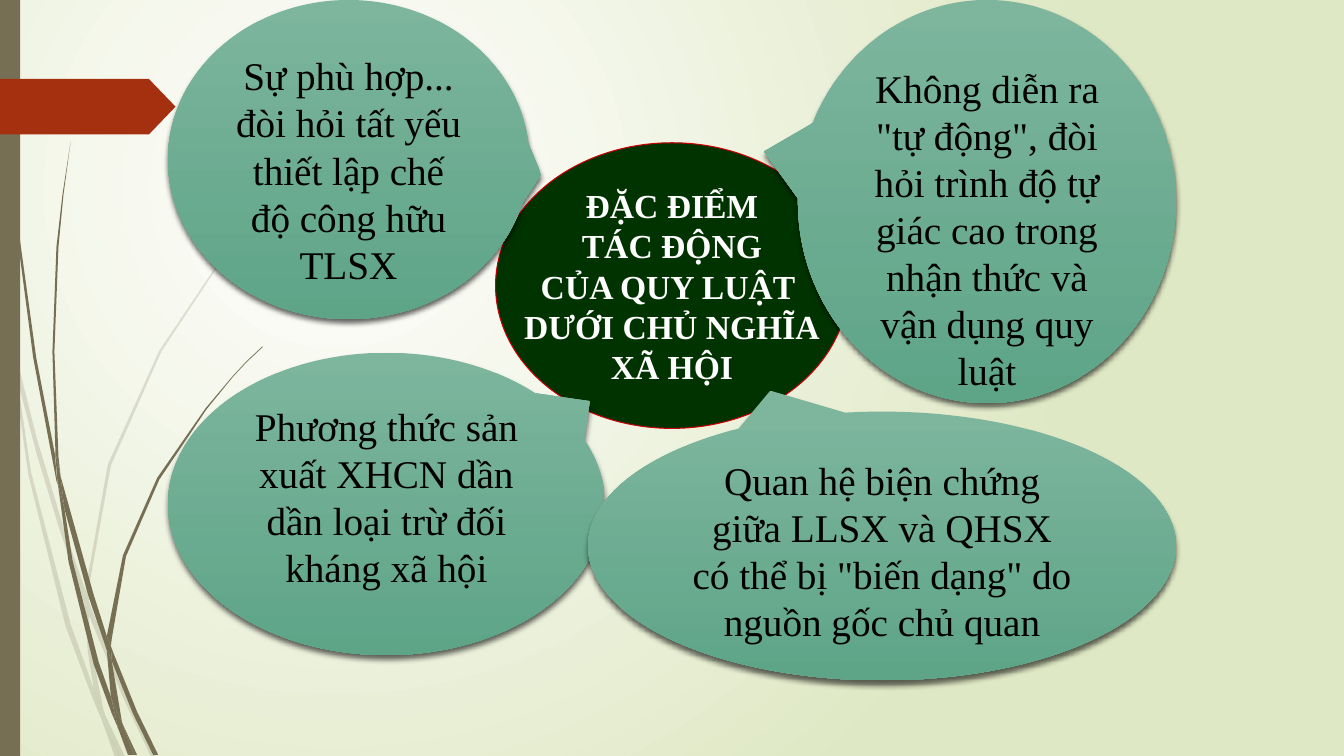
from dataclasses import dataclass

from lxml.etree import SubElement
from pptx import Presentation
from pptx.dml.color import RGBColor
from pptx.enum.shapes import MSO_SHAPE
from pptx.enum.text import MSO_ANCHOR, PP_ALIGN
from pptx.oxml.ns import qn
from pptx.util import Inches, Pt

# ---- Content: boxes are left, top, width, height in grid units of 1/12 inch ----
GRID = Inches(1) / 12
COLUMNS, ROWS = 160, 90

HEADING = ["ĐẶC ĐIỂM", "TÁC ĐỘNG", "CỦA QUY LUẬT ", "DƯỚI CHỦ NGHĨA", "XÃ HỘI"]
HEADING_BOX = (59, 17, 42, 34)
SIDE_BAR_BOX = (0, 0, 2.4, ROWS)
TAB_BOX = (0, 9.4, 20.9, 6.6)

# Box, then the pointer tip as shares of the box, measured from its centre
CALLOUTS = [
    ((20, 0, 43, 38), (0.533, 0.047),
     ["Sự phù hợp... đòi hỏi tất yếu thiết lập chế độ công hữu TLSX"]),
    ((20, 42, 52, 36), (0.466, -0.34),
     ["Phương thức sản xuất XHCN dần dần loại trừ đối kháng xã hội"]),
    ((95, 0, 45, 48), (-0.59, -0.124),
     ['Không diễn ra "tự động", đòi hỏi trình độ tự giác cao trong '
      'nhận thức và vận dụng quy luật']),
    ((70, 49, 70, 32), (-0.19, -0.578),
     ["Quan hệ biện chứng", "giữa LLSX và QHSX",
      'có thể bị "biến dạng" do nguồn gốc chủ quan']),
]

# Grass blades: corner points in inches
PALE_BLADES = [
    [(.11, 3.5), (.09, 3.22), (0, 2.82), (0, 2.99), (.1, 3.44)],
    [(.58, 5.22), (.84, 5.99), (.85, 5.86), (.62, 5.2), (.36, 4.33), (.14, 3.45),
     (.17, 3.76), (.36, 4.49)],
    [(.92, 6.07), (.88, 5.96), (.88, 6.1), (1.23, 6.94), (1.5, 7.51), (1.55, 7.51),
     (1.27, 6.92)],
    [(1.19, 7.51), (1.24, 7.51), (1.05, 7.11)],
    [(.93, 6.83), (.7, 6.19), (.31, 4.69), (.17, 3.76), (.11, 3.5), (.28, 4.7),
     (.65, 6.21), (.92, 6.93), (1.01, 7.14), (.99, 7.07)],
    [(.84, 5.99), (.87, 6.46), (.93, 6.83), (.96, 6.92), (1.05, 7.11), (1.03, 7.06),
     (.91, 6.46), (.88, 6.1), (.88, 6.08)],
    [(.88, 5.84), (1.1, 4.62), (1.6, 3.49), (2.29, 2.45), (2.68, 1.98), (2.9, 1.75),
     (3.12, 1.54), (3.12, 1.53), (2.89, 1.75), (2.68, 1.97), (2.28, 2.44),
     (1.58, 3.48), (1.07, 4.61), (.85, 5.84), (.85, 5.86), (.88, 5.96)],
    [(1.01, 7.14), (1.14, 7.51), (1.19, 7.51)],
    [(.88, 6.08), (.88, 6.1), (.88, 5.96), (.85, 5.86), (.84, 5.99)],
    [(.96, 6.92), (.93, 6.83), (.99, 7.07), (1.01, 7.14), (1.19, 7.51), (1.05, 7.11)],
]
DARK_BLADES = [
    [(.07, 1.1), (.17, 2.33), (.33, 3.55), (.56, 4.77), (.57, 4.81), (.55, 4.57),
     (.55, 4.53), (.36, 3.55), (.19, 2.32), (.08, 1.09), (.05, .48), (.04, 0),
     (.03, 0), (.04, .48)],
    [(.88, 5.92), (1.06, 6.45), (1.06, 6.33), (1.06, 6.31), (.93, 5.9), (.6, 4.72),
     (.64, 5.05)],
    [(1.13, 6.49), (1.1, 6.41), (1.11, 6.56), (1.32, 7.08), (1.52, 7.49),
     (1.57, 7.49), (1.36, 7.06)],
    [(1.1, 6.91), (.98, 6.57), (.72, 5.56), (.64, 5.05), (.57, 4.77), (.68, 5.57),
     (.93, 6.59), (1.11, 7.08), (1.17, 7.22), (1.16, 7.17)],
    [(.6, 4.72), (.58, 4.53), (.54, 3.49), (.58, 2.45), (.63, 1.93), (.7, 1.41),
     (.62, 1.93), (.56, 2.45), (.52, 3.49), (.55, 4.49)],
    [(1.33, 7.49), (1.36, 7.49), (1.22, 7.19)],
    [(.57, 4.77), (.64, 5.05), (.6, 4.72), (.55, 4.49), (.55, 4.53)],
    [(1.11, 6.33), (1.25, 5.52), (1.58, 4.76), (2.05, 4.06), (2.31, 3.74),
     (2.45, 3.59), (2.61, 3.44), (2.6, 3.44), (2.45, 3.58), (2.31, 3.73),
     (2.04, 4.05), (1.56, 4.74), (1.22, 5.51), (1.06, 6.31), (1.1, 6.41)],
    [(1.17, 7.22), (1.27, 7.49), (1.31, 7.49)],
    [(1.06, 6.45), (1.1, 6.91), (1.16, 7.06), (1.22, 7.19), (1.21, 7.16),
     (1.11, 6.56), (1.09, 6.51)],
    [(1.06, 6.45), (1.09, 6.51), (1.11, 6.56), (1.1, 6.41), (1.06, 6.31), (1.06, 6.33)],
    [(1.16, 7.06), (1.1, 6.91), (1.16, 7.17), (1.17, 7.22), (1.3, 7.49),
     (1.33, 7.49), (1.22, 7.19)],
]


@dataclass(frozen=True)
class Theme:
    font: str = "Times New Roman"
    heading_size: int = 24
    callout_size: int = 28
    backdrop: tuple = ("FFFFFF", "DFE8C4")
    callout_fill: tuple = ("7DB59D", "5EA588")
    olive: str = "766F54"
    rust: str = "A53010"
    heading_fill: str = "003300"
    heading_line: str = "CC0000"
    heading_text: str = "FFFFFF"
    callout_text: str = "000000"
    shadow: str = "000000"


THEME = Theme()


def rgb(value):
    return RGBColor.from_string(value)


def fill_gradient(fill, colours):
    fill.gradient()
    for stop, position, colour in zip(fill.gradient_stops, (0, 1), colours):
        stop.position = position
        stop.color.rgb = rgb(colour)


def style_plain(shape, colour):
    shape.shadow.inherit = False
    shape.fill.solid()
    shape.fill.fore_color.rgb = rgb(colour)
    shape.line.fill.background()
    return shape


def add_form(kind, box):
    return slide.shapes.add_shape(kind, *(round(units * GRID) for units in box))


def write(frame, lines, size, colour, bold=False):
    frame.text = "\n".join(lines)
    for paragraph in frame.paragraphs:
        paragraph.alignment = PP_ALIGN.CENTER
        for run in paragraph.runs:
            run.font.name, run.font.size = THEME.font, Pt(size)
            run.font.color.rgb, run.font.bold = rgb(colour), bold


def add_blade(corners, opacity=None):
    start, *others = [(Inches(x), Inches(y)) for x, y in corners]
    builder = slide.shapes.build_freeform(*start)
    builder.add_line_segments(others, close=True)
    blade = style_plain(builder.convert_to_shape(), THEME.olive)
    if opacity:
        colour = blade.fill._xPr.find(qn("a:solidFill"))[0]
        SubElement(colour, qn("a:alpha"), val=str(opacity * 1000))


def add_callout(box, tip, lines):
    callout = add_form(MSO_SHAPE.OVAL_CALLOUT, box)
    for i, share in enumerate(tip):
        callout.adjustments[i] = share
    fill_gradient(callout.fill, THEME.callout_fill)
    callout.fill.gradient_angle = 270
    callout.line.fill.background()
    # Soft shadow straight below
    callout.shadow.inherit = False
    effects = callout._element.spPr.find(qn("a:effectLst"))
    shadow = SubElement(effects, qn("a:outerShdw"), blurRad=str(Pt(4)),
                        dist=str(Pt(3)), dir="5400000", rotWithShape="0")
    shade = SubElement(shadow, qn("a:srgbClr"), val=THEME.shadow)
    SubElement(shade, qn("a:alpha"), val="60000")
    callout.text_frame.word_wrap = True
    callout.text_frame.vertical_anchor = MSO_ANCHOR.TOP
    write(callout.text_frame, lines, THEME.callout_size, THEME.callout_text)


prs = Presentation()
prs.slide_width, prs.slide_height = round(COLUMNS * GRID), round(ROWS * GRID)
slide = prs.slides.add_slide(prs.slide_layouts[6])

# Backdrop: circular gradient
fill_gradient(slide.background.fill, THEME.backdrop)
gradient = slide.background.fill._xPr.find(qn("a:gradFill"))
gradient.remove(gradient.find(qn("a:lin")))
circle = SubElement(gradient, qn("a:path"))
circle.set("path", "circle")
SubElement(circle, qn("a:fillToRect"), l="50000", t="50000", r="100000", b="100000")

# Grass, side bar and tab
for blade_corners in PALE_BLADES:
    add_blade(blade_corners, opacity=20)
for blade_corners in DARK_BLADES:
    add_blade(blade_corners)
style_plain(add_form(MSO_SHAPE.RECTANGLE, SIDE_BAR_BOX), THEME.olive)
tab = style_plain(add_form(MSO_SHAPE.PENTAGON, TAB_BOX), THEME.rust)
tab.adjustments[0] = 0.48

# Heading in the central ellipse
heading = style_plain(add_form(MSO_SHAPE.OVAL, HEADING_BOX), THEME.heading_fill)
heading.line.color.rgb = rgb(THEME.heading_line)
heading.line.width = Pt(0.75)
heading.text_frame.word_wrap = False
heading.text_frame.vertical_anchor = MSO_ANCHOR.MIDDLE
write(heading.text_frame, HEADING, THEME.heading_size, THEME.heading_text, bold=True)

# Callouts around the heading
for callout_box, pointer_tip, callout_lines in CALLOUTS:
    add_callout(callout_box, pointer_tip, callout_lines)

prs.save("out.pptx")
